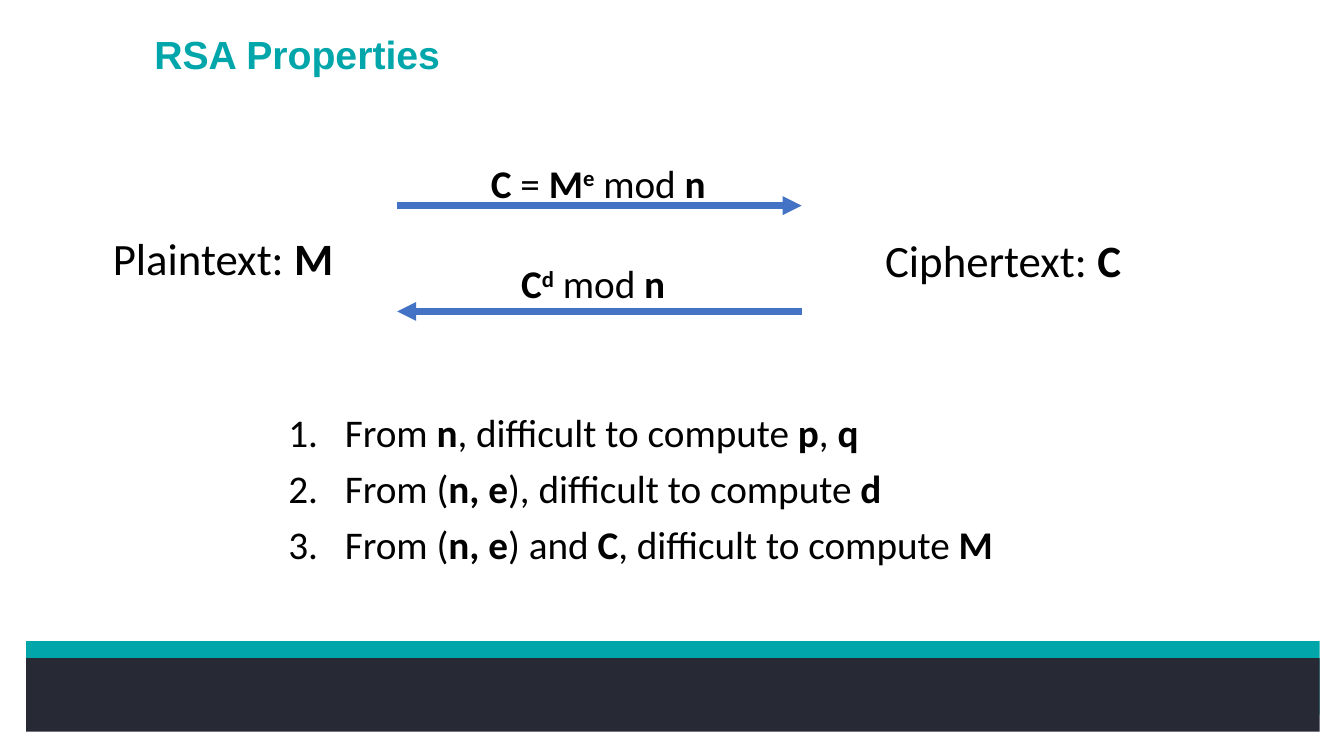
from dataclasses import dataclass

from lxml import etree
from pptx import Presentation
from pptx.dml.color import RGBColor
from pptx.enum.shapes import MSO_CONNECTOR, MSO_SHAPE
from pptx.enum.text import MSO_ANCHOR, MSO_AUTO_SIZE, PP_ALIGN
from pptx.oxml.ns import qn
from pptx.util import Pt

EMU_PER_PX = 9144
STRAIGHT = MSO_CONNECTOR.STRAIGHT
RECTANGLE = MSO_SHAPE.RECTANGLE
TOP = MSO_ANCHOR.TOP
LEFT = PP_ALIGN.LEFT
NO_AUTOFIT = MSO_AUTO_SIZE.NONE


@dataclass(frozen=True)
class Theme:
    teal: str = "00A6AA"
    navy: str = "272935"
    blue: str = "4472C4"
    black: str = "000000"
    title_font: str = "Arial"
    text_font: str = "Calibri"
    text_size: int = 28
    label_size: int = 32
    arrow_width: float = 4.5
    list_indent: int = 56


def px(length):
    return length * EMU_PER_PX


class SlideBuilder:
    def __init__(self, deck, theme):
        self.theme = theme
        self.page = deck.slides.add_slide(deck.slide_layouts[1])

    def place(self, shape, left, top, width, height):
        shape.left, shape.top = px(left), px(top)
        shape.width, shape.height = px(width), px(height)
        frame = shape.text_frame
        frame.word_wrap = True
        frame.auto_size = NO_AUTOFIT
        frame.vertical_anchor = TOP
        return frame

    def style(self, span, size, font, color):
        span.font.size = Pt(size)
        span.font.name = font
        span.font.color.rgb = RGBColor.from_string(color)

    def add_spans(self, para, markup, size):
        """Add text where *x* is bold and *x^y* is bold with y raised."""
        for index, part in enumerate(markup.split("*")):
            bold = index % 2 == 1
            base, _, raised = part.partition("^")
            for text, baseline in ((base, 0), (raised, 30000)):
                if not text:
                    continue
                span = para.add_run()
                span.text = text
                span.font.bold = bold
                self.style(span, size, self.theme.text_font, self.theme.black)
                if baseline:
                    span.font._element.set("baseline", str(baseline))

    def title(self, text, *bounds):
        frame = self.place(self.page.shapes.title, *bounds)
        frame.text = text
        para = frame.paragraphs[0]
        para.alignment = LEFT
        para.line_spacing = 0.9
        span = para.runs[0]
        span.font.bold = True
        self.style(span, self.theme.text_size, self.theme.title_font, self.theme.teal)

    def text(self, markup, size, line_spacing, *bounds):
        box = self.page.shapes.add_textbox(0, 0, 0, 0)
        para = self.place(box, *bounds).paragraphs[0]
        para.line_spacing = line_spacing
        self.add_spans(para, markup, size)

    def numbered_list(self, items, *bounds):
        frame = self.place(self.page.placeholders[1], *bounds)
        indent = px(self.theme.list_indent)
        for index, markup in enumerate(items):
            para = frame.add_paragraph() if index else frame.paragraphs[0]
            properties = para._p.get_or_add_pPr()
            properties.set("marL", str(indent))
            properties.set("indent", str(-indent))
            etree.SubElement(properties, qn("a:buFont"), typeface=self.theme.text_font)
            etree.SubElement(properties, qn("a:buAutoNum"), type="arabicPeriod")
            para.line_spacing = 0.9
            para.space_before = Pt(10 if index else 0)
            self.add_spans(para, markup, self.theme.text_size)

    def bar(self, color, *bounds):
        shape = self.page.shapes.add_shape(RECTANGLE, *map(px, bounds))
        shape.shadow.inherit = False
        shape.fill.solid()
        shape.fill.fore_color.rgb = RGBColor.from_string(color)
        shape.line.fill.background()

    def arrow(self, start_x, end_x, y):
        connector = self.page.shapes.add_connector(
            STRAIGHT, px(start_x), px(y), px(end_x), px(y))
        connector.line.width = Pt(self.theme.arrow_width)
        connector.line.color.rgb = RGBColor.from_string(self.theme.blue)
        properties = connector._element.spPr
        etree.SubElement(properties.find(qn("a:ln")), qn("a:tailEnd"), type="triangle")
        etree.SubElement(properties, qn("a:effectLst"))


def main():
    deck = Presentation()
    deck.slide_width, deck.slide_height = px(1333), px(750)
    theme = Theme()
    slide = SlideBuilder(deck, theme)

    slide.bar(theme.teal, 26, 636, 1283, 73)
    slide.bar(theme.navy, 26, 653, 1283, 73)
    slide.title("RSA Properties", 143, 30, 1069, 61)

    slide.text("Plaintext: *M*", theme.label_size, 1.0, 102, 224, 272, 64)
    slide.text("Ciphertext: *C*", theme.label_size, 1.0, 868, 226, 272, 64)
    slide.text("*C* = *M^e* mod *n*", theme.text_size, 0.9, 477, 158, 368, 55)
    slide.text("*C^d* mod *n*", theme.text_size, 0.9, 507, 258, 208, 61)
    slide.arrow(394, 795, 204)
    slide.arrow(795, 394, 309)

    slide.numbered_list([
        "From *n*, difficult to compute *p*, *q*",
        "From (*n, e*), difficult to compute *d*",
        "From (*n, e*) and *C*, difficult to compute *M*",
    ], 276, 405, 759, 170)

    deck.save("out.pptx")


if __name__ == "__main__":
    main()
